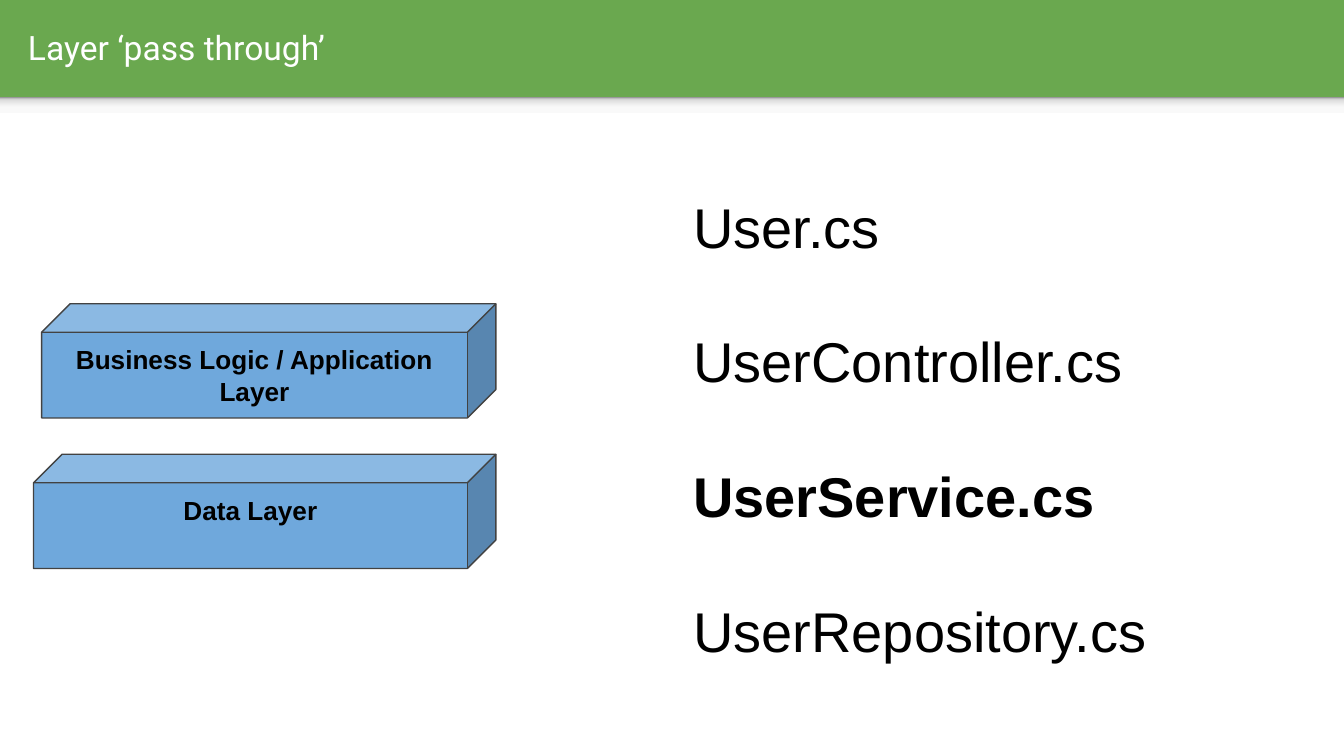
from lxml import etree
from pptx import Presentation
from pptx.dml.color import RGBColor
from pptx.enum.shapes import MSO_SHAPE
from pptx.enum.text import MSO_ANCHOR, PP_ALIGN
from pptx.oxml.ns import qn
from pptx.util import Inches, Pt

RECTANGLE, CUBE = MSO_SHAPE.RECTANGLE, MSO_SHAPE.CUBE
TOP, MIDDLE = MSO_ANCHOR.TOP, MSO_ANCHOR.MIDDLE
LEFT, CENTER = PP_ALIGN.LEFT, PP_ALIGN.CENTER

GREEN = RGBColor(0x6A, 0xA8, 0x4F)
BLUE = RGBColor(0x6F, 0xA8, 0xDC)
OUTLINE = RGBColor(0x42, 0x42, 0x42)
WHITE = RGBColor(0xFF, 0xFF, 0xFF)
BLACK = RGBColor(0x00, 0x00, 0x00)

# Content
TITLE = "Layer ‘pass through’"
LAYERS = [  # text, left edge, space below the text
    ("Business Logic / Application Layer", 0.31, 0.1),
    ("Data Layer", 0.25, 0.33),
]
FILES = ["User.cs", "UserController.cs", "UserService.cs", "UserRepository.cs"]
BOLD_FILE = "UserService.cs"
SHADOW_STOPS = [(0, "F9F9F9"), (36, "F9F9F9"), (80, "DEDEDE"), (100, "999999")]

# Layout in inches
WIDTH = 10
HEIGHT = WIDTH * 9 / 16
HEADER, BODY_TOP = 0.72, 0.73  # the body's edge lies under the shadow
LAYER_RIGHT, LAYER_TOP, LAYER_HEIGHT, LAYER_PITCH = 3.69, 2.26, 0.85, 1.12
FILES_LEFT, FILES_TOP, FILES_HEIGHT = 5.06, 1.33, 4
FILE_GAP = 36.2  # points, one empty line of 30 point text


def write(shape, lines, size, font="Arial", color=BLACK, bold=(), align=LEFT,
          anchor=TOP, gap=0, bottom=0.1):
    """Fill a shape with one paragraph per line; lines listed in bold are bold."""
    frame = shape.text_frame
    frame.word_wrap = True
    frame.vertical_anchor = anchor
    frame.margin_left = frame.margin_right = frame.margin_top = Inches(0.1)
    frame.margin_bottom = Inches(bottom)
    for index, line in enumerate(lines):
        para = frame.add_paragraph() if index else frame.paragraphs[0]
        para.alignment = align
        if index and gap:
            para.space_before = Pt(gap)
        span = para.add_run()
        span.text = line
        span.font.name, span.font.size = font, Pt(size)
        span.font.color.rgb, span.font.bold = color, line in bold


def add_box(page, kind, *place):
    box = page.shapes.add_shape(kind, *map(Inches, place))
    box.shadow.inherit = False
    box.line.fill.background()
    return box


def add_text(page, *place):
    return page.shapes.add_textbox(*map(Inches, place))


deck = Presentation()
deck.slide_width, deck.slide_height = Inches(WIDTH), Inches(HEIGHT)
page = deck.slides.add_slide(deck.slide_layouts[6])

# Green header above a white body
page.background.fill.solid()
page.background.fill.fore_color.rgb = GREEN
body = add_box(page, RECTANGLE, 0, BODY_TOP, WIDTH, HEIGHT - BODY_TOP)
body.fill.solid()
body.fill.fore_color.rgb = WHITE

# Soft shadow below the header, darkest at its top
shade = add_box(page, RECTANGLE, 0, HEADER, WIDTH, 0.12)
shade.fill.gradient()
shade.fill.gradient_angle = 90
stops = shade.element.spPr.find(qn("a:gradFill")).find(qn("a:gsLst"))
for stop in list(stops):
    stops.remove(stop)
for percent, color in SHADOW_STOPS:
    stop = etree.SubElement(stops, qn("a:gs"), pos=str(percent * 1000))
    etree.SubElement(stop, qn("a:srgbClr"), val=color)

# Title
write(add_text(page, 0.11, 0.02, 9.65, 0.66), [TITLE], 18, font="Roboto",
      color=WHITE, anchor=MIDDLE)

# Stacked layers, aligned on the right
for row, (text, left, bottom) in enumerate(LAYERS):
    layer = add_box(page, CUBE, left, LAYER_TOP + row * LAYER_PITCH,
                    LAYER_RIGHT - left, LAYER_HEIGHT)
    layer.adjustments[0] = 0.25
    layer.fill.solid()
    layer.fill.fore_color.rgb = BLUE
    layer.line.color.rgb, layer.line.width = OUTLINE, Pt(0.75)
    write(layer, [text], 14, bold=[text], align=CENTER, anchor=MIDDLE,
          bottom=bottom)

# File names
write(add_text(page, FILES_LEFT, FILES_TOP, WIDTH - FILES_LEFT, FILES_HEIGHT),
      FILES, 30, bold=[BOLD_FILE], gap=FILE_GAP)

deck.save("out.pptx")
